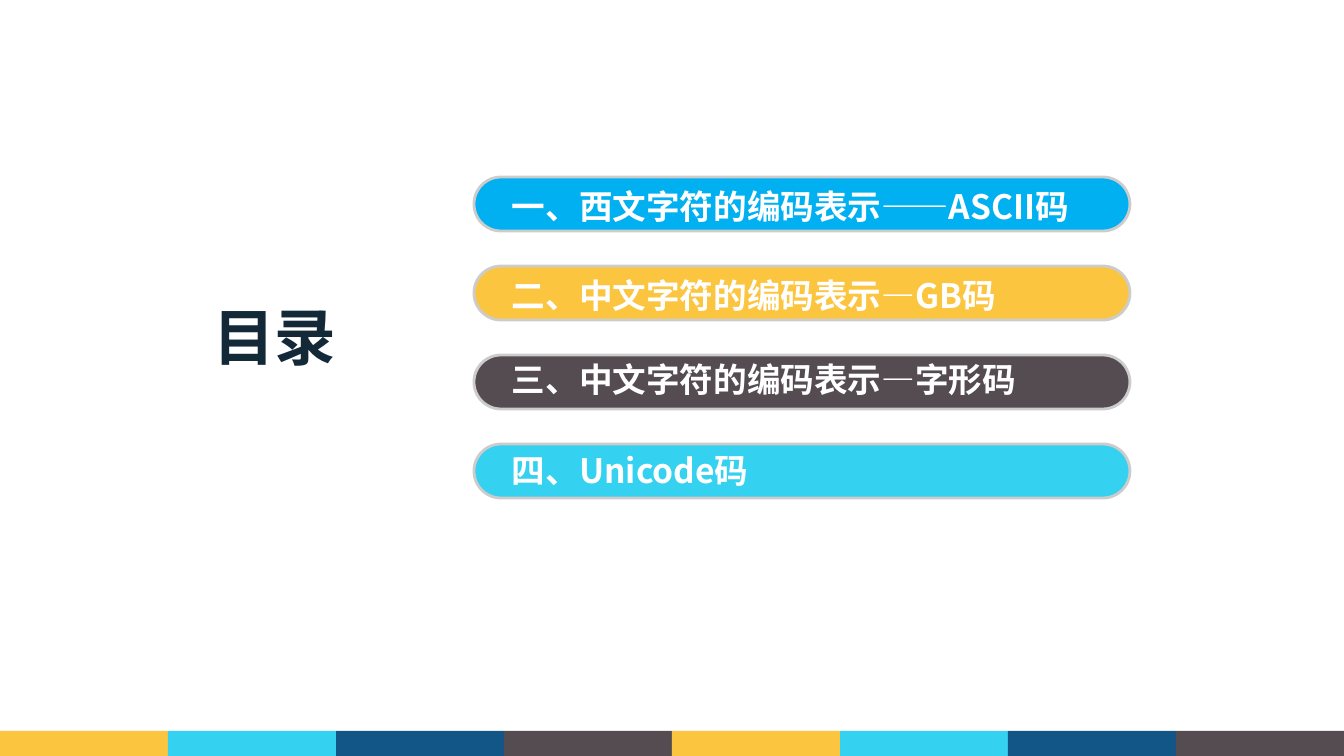
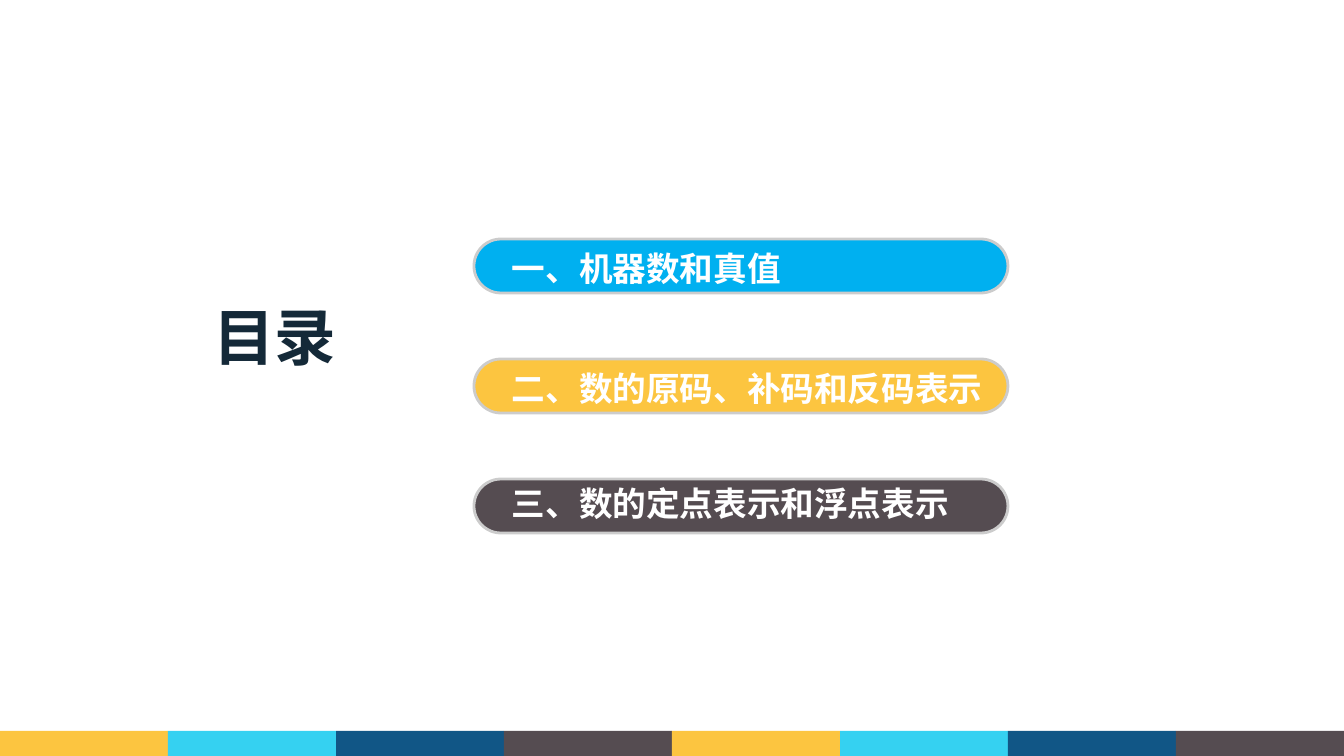
from lxml import etree
from pptx import Presentation, util as u
from pptx.dml.color import RGBColor
from pptx.enum import shapes, text
from pptx.oxml import ns

PX = 914400 / 100.8
SLIDE_W, SLIDE_H = 1344, 756
FONT = "Noto Sans CJK SC"
COLORS = {
    "blue": "00B0F0", "amber": "FCC540", "charcoal": "554C51", "cyan": "35D1F1",
    "navy": "115686", "ink": "142938", "white": "FFFFFF", "outline": "CCCCCC",
}
FOOTER_COLORS = ["amber", "cyan", "navy", "charcoal"] * 2
FOOTER_H = 25
# Bar colour and the drop of its label below the bar's top edge
ENTRY_STYLES = [("blue", 4), ("amber", 4), ("charcoal", -1), ("cyan", 1)]
BAR_H, LABEL_H, LABEL_INDENT = 54, 50, 28

AGENDAS = [
    {
        "box": (474, 177, 656), "pitch": 89,
        "entries": [
            "一、西文字符的编码表示——ASCII码",
            "二、中文字符的编码表示—GB码",
            "三、中文字符的编码表示—字形码",
            "四、Unicode码",
        ],
    },
    {
        "box": (474, 239, 534), "pitch": 120,
        "entries": [
            "一、机器数和真值",
            "二、数的原码、补码和反码表示",
            "三、数的定点表示和浮点表示",
        ],
    },
]


def px(length):
    return u.Emu(round(length * PX))


def color(name):
    return RGBColor.from_string(COLORS[name])


def add_block(parent, kind, box, fill):
    block = parent.add_shape(kind, *map(px, box))
    block.shadow.inherit = False
    block.fill.solid()
    block.fill.fore_color.rgb = color(fill)
    block.line.fill.background()
    return block


def add_label(slide, box, wording, size, ink, align=text.PP_ALIGN.LEFT):
    frame = slide.shapes.add_textbox(*map(px, box)).text_frame
    frame.word_wrap = True
    frame.auto_size = text.MSO_AUTO_SIZE.SHAPE_TO_FIT_TEXT
    paragraph = frame.paragraphs[0]
    paragraph.alignment = align
    run = paragraph.add_run()
    run.text = wording
    run.font.size = u.Pt(size)
    run.font.bold = True
    run.font.color.rgb = color(ink)
    run.font.name = FONT
    east_asian = etree.SubElement(run.font._element, ns.qn("a:ea"))
    east_asian.set("typeface", FONT)


def add_title(slide, box):
    add_label(slide, box, "目录", 44, "ink", text.PP_ALIGN.CENTER)


def add_entries(slide, box, pitch, entries):
    left, top, width = box
    for row, (wording, (fill, drop)) in enumerate(zip(entries, ENTRY_STYLES)):
        bar_top = top + row * pitch
        bar = add_block(slide.shapes, shapes.MSO_SHAPE.ROUNDED_RECTANGLE,
                        (left, bar_top, width, BAR_H), fill)
        bar.adjustments[0] = 0.5
        bar.line.color.rgb = color("outline")
        bar.line.width = u.Pt(2)
        add_label(slide, (left + LABEL_INDENT, bar_top + drop,
                          width - LABEL_INDENT, LABEL_H), wording, 24, "white")


def add_footer(slide, box):
    left, top, width, height = box
    band = slide.shapes.add_group_shape().shapes
    step = width / len(FOOTER_COLORS)
    for column, fill in enumerate(FOOTER_COLORS):
        add_block(band, shapes.MSO_SHAPE.RECTANGLE,
                  (left + column * step, top, step, height), fill)


def add_agenda_slide(deck, agenda):
    slide = deck.slides.add_slide(deck.slide_layouts[6])
    slide.background.fill.solid()
    slide.background.fill.fore_color.rgb = color("white")
    add_entries(slide, **agenda)
    add_title(slide, (201, 294, 148, 85))
    add_footer(slide, (0, SLIDE_H - FOOTER_H, SLIDE_W, FOOTER_H))


def main():
    deck = Presentation()
    deck.slide_width, deck.slide_height = px(SLIDE_W), px(SLIDE_H)
    for agenda in AGENDAS:
        add_agenda_slide(deck, agenda)
    deck.save("out.pptx")


if __name__ == "__main__":
    main()
